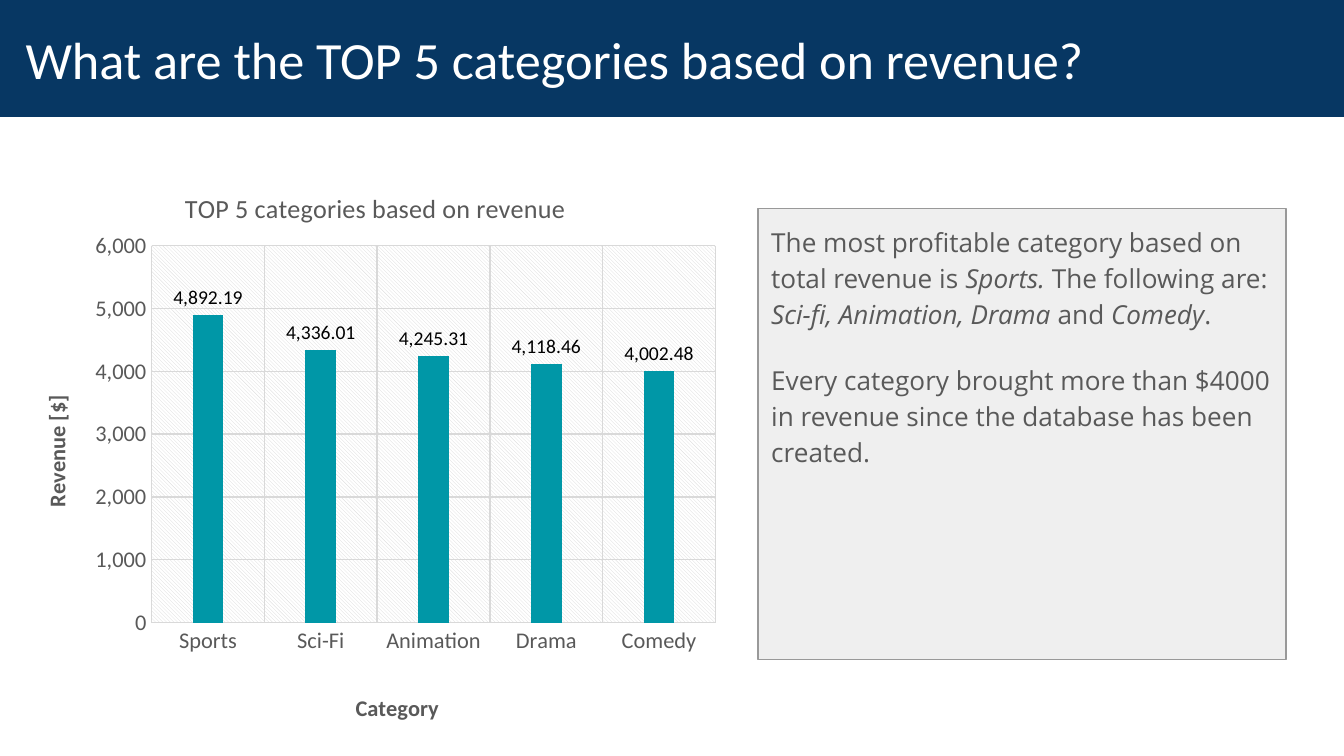
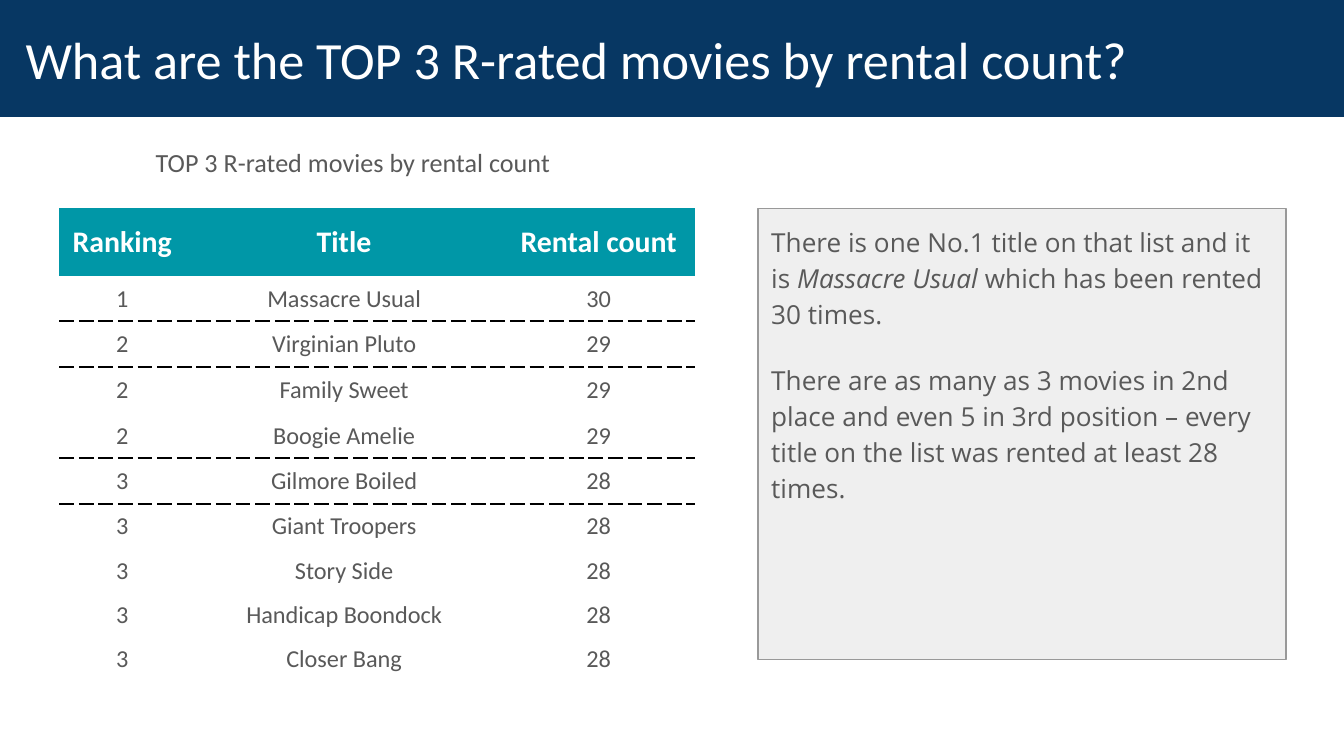
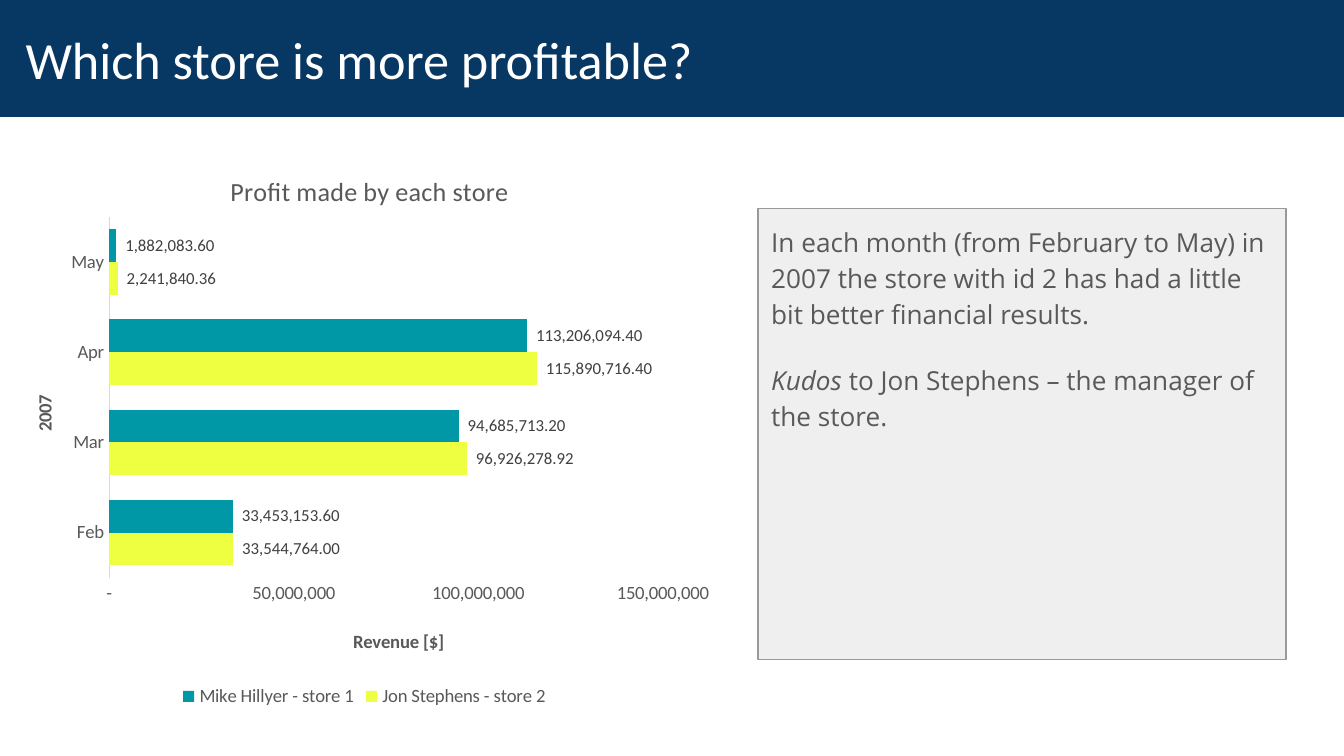
from dataclasses import dataclass

from lxml import etree
from pptx import Presentation
from pptx.chart.data import CategoryChartData
from pptx.dml.color import RGBColor
from pptx.enum.chart import XL_CHART_TYPE, XL_LABEL_POSITION, XL_LEGEND_POSITION, XL_TICK_MARK
from pptx.enum.shapes import MSO_SHAPE
from pptx.enum.text import MSO_ANCHOR, PP_ALIGN
from pptx.oxml.ns import qn
from pptx.util import Inches, Pt

COLORS = {
    "navy": "073763", "teal": "0097A7", "yellow": "EEFF41", "panel": "EFEFEF",
    "border": "999999", "text": "595959", "label": "404040", "grid": "D9D9D9",
    "black": "000000", "white": "FFFFFF",
}
SANS, BODY = "Calibri", "Open Sans"
NO_STYLE_TABLE = "{2D5ABB26-0587-4C30-8999-92F81FD0307C}"


@dataclass
class Series:
    name: str
    values: tuple
    color: str


@dataclass
class AxisStyle:
    title: str
    title_at: tuple  # fractions of the chart: left, top
    size: float
    grid: bool = False
    line: bool = False


@dataclass
class ChartStyle:
    kind: XL_CHART_TYPE
    at: tuple  # inches: left, top, width, height
    title: str
    title_at: tuple
    plot_at: tuple  # fractions: left, top, width, height
    categories: tuple
    series: tuple
    cat_axis: AxisStyle
    val_axis: AxisStyle
    maximum: float
    step: float
    axis_format: str
    label_format: str
    label_size: float
    label_color: str
    gap: int
    overlap: int = 0


def rgb(name: str) -> RGBColor:
    return RGBColor.from_string(COLORS[name])


def box(at: tuple) -> list:
    return [Inches(v) for v in at]


def style_font(font, size: float, color: str = "text", name: str = SANS,
               bold: bool = False, italic: bool = False) -> None:
    font.name, font.size, font.bold, font.italic = name, Pt(size), bold, italic
    font.color.rgb = rgb(color)


def add_text(p, text: str, align=PP_ALIGN.LEFT, **fmt) -> None:
    """Add runs to a paragraph; parts between asterisks are italic."""
    p.alignment = align
    for i, part in enumerate(text.split("*")):
        if part:
            r = p.add_run()
            r.text = part
            style_font(r.font, italic=i % 2 == 1, **fmt)


def set_margins(target, left: float, top: float, right: float, bottom: float) -> None:
    target.margin_left, target.margin_top = Inches(left), Inches(top)
    target.margin_right, target.margin_bottom = Inches(right), Inches(bottom)


# Shared slide parts: title band and comment panel
def add_slide(prs, title: str, comments: tuple):
    s = prs.slides.add_slide(prs.slide_layouts[5])
    band = s.shapes.title
    band.left, band.top, band.width, band.height = box((0, 0, 10, 0.87))
    band.fill.solid()
    band.fill.fore_color.rgb = rgb("navy")
    tf = band.text_frame
    tf.vertical_anchor = MSO_ANCHOR.MIDDLE
    set_margins(tf, 0.19, 0.1, 0.1, 0.1)
    add_text(tf.paragraphs[0], title, size=28, color="white")

    panel = s.shapes.add_shape(MSO_SHAPE.RECTANGLE, *box((5.64, 1.55, 3.93, 3.36)))
    panel.shadow.inherit = False
    panel.fill.solid()
    panel.fill.fore_color.rgb = rgb("panel")
    panel.line.color.rgb = rgb("border")
    panel.line.width = Pt(0.75)
    tf = panel.text_frame
    tf.word_wrap = True
    tf.vertical_anchor = MSO_ANCHOR.TOP
    set_margins(tf, 0.1, 0.1, 0.1, 0.1)
    for i, comment in enumerate(comments):
        p = tf.add_paragraph() if i else tf.paragraphs[0]
        p.line_spacing, p.space_after = 1.15, Pt(16)
        add_text(p, comment, size=14, name=BODY)
    return s


# Charts
def place(element, at: tuple, inner: bool = False) -> None:
    """Give a chart title or plot area a manual layout."""
    for old in element.findall(qn("c:layout")):
        element.remove(old)
    layout = etree.Element(qn("c:layout"))
    element.insert(0 if element.find(qn("c:tx")) is None else 1, layout)
    manual = etree.SubElement(layout, qn("c:manualLayout"))
    if inner:
        etree.SubElement(manual, qn("c:layoutTarget")).set("val", "inner")
    for tag in ("xMode", "yMode"):
        etree.SubElement(manual, qn(f"c:{tag}")).set("val", "edge")
    for tag, value in zip("xywh", at):
        etree.SubElement(manual, qn(f"c:{tag}")).set("val", str(value))


def hatch(plot_area) -> None:
    props = etree.SubElement(plot_area, qn("c:spPr"))
    pattern = etree.SubElement(props, qn("a:pattFill"), prst="ltDnDiag")
    for tag, color in (("fgClr", "grid"), ("bgClr", "white")):
        side = etree.SubElement(pattern, qn(f"a:{tag}"))
        etree.SubElement(side, qn("a:srgbClr"), val=COLORS[color])


def style_axis(axis, style: AxisStyle) -> None:
    axis.major_tick_mark = axis.minor_tick_mark = XL_TICK_MARK.NONE
    style_font(axis.tick_labels.font, style.size)
    axis.has_major_gridlines = style.grid
    lines = [axis.major_gridlines.format.line] if style.grid else []
    if style.line:
        lines.append(axis.format.line)
    else:
        axis.format.line.fill.background()
    for line in lines:
        line.color.rgb = rgb("grid")
        line.width = Pt(0.75)
    title = axis.axis_title
    add_text(title.text_frame.paragraphs[0], style.title, size=style.size, bold=True)
    place(title._element, style.title_at)


def add_chart(s, style: ChartStyle):
    data = CategoryChartData()
    data.categories = style.categories
    for series in style.series:
        data.add_series(series.name, series.values)
    chart = s.shapes.add_chart(style.kind, *box(style.at), data).chart
    style_font(chart.font, 10, "black")
    chart.has_legend = False

    title = chart.chart_title
    add_text(title.text_frame.paragraphs[0], style.title, size=14)
    place(title._element, style.title_at)
    style_axis(chart.category_axis, style.cat_axis)
    style_axis(chart.value_axis, style.val_axis)
    axis = chart.value_axis
    axis.minimum_scale, axis.maximum_scale = 0, style.maximum
    axis.major_unit = style.step
    axis.tick_labels.number_format = style.axis_format
    axis.tick_labels.number_format_is_linked = False

    plot = chart.plots[0]
    plot.gap_width, plot.overlap = style.gap, style.overlap
    plot.vary_by_categories = False
    for series, item in zip(plot.series, style.series):
        series.format.fill.solid()
        series.format.fill.fore_color.rgb = rgb(item.color)
        labels = series.data_labels
        labels.show_value = True
        labels.position = XL_LABEL_POSITION.OUTSIDE_END
        labels.number_format = style.label_format
        labels.number_format_is_linked = False
        style_font(labels.font, style.label_size, style.label_color)
    place(chart._chartSpace.chart.plotArea, style.plot_at, inner=True)
    return chart


# Table
def dash_edge(cell, edge: str) -> None:
    line = etree.Element(qn(f"a:{edge}"), w=str(Pt(1)))
    fill = etree.SubElement(line, qn("a:solidFill"))
    etree.SubElement(fill, qn("a:srgbClr"), val=COLORS["black"])
    etree.SubElement(line, qn("a:prstDash"), val="lgDash")
    cell._tc.get_or_add_tcPr().insert(0, line)


def add_ranking(s, header: tuple, rows: tuple) -> None:
    widths = (0.94, 2.36, 1.43)
    heights = [0.5] + [0.34] * 5 + [0.33] * 4
    frame = s.shapes.add_table(len(rows) + 1, len(header),
                               *box((0.44, 1.55, sum(widths), sum(heights))))
    table = frame.table
    table.first_row = table.horz_banding = False
    table._tbl.tblPr.find(qn("a:tableStyleId")).text = NO_STYLE_TABLE
    for column, width in zip(table.columns, widths):
        column.width = Inches(width)
    for row, height in zip(table.rows, heights):
        row.height = Inches(height)

    lines = (header, *rows)
    for i, values in enumerate(lines):
        # A dashed line parts one rank from the next
        ends_rank = 0 < i < len(rows) and values[0] != lines[i + 1][0]
        starts_rank = i > 1 and values[0] != lines[i - 1][0]
        for j, value in enumerate(values):
            cell = table.cell(i, j)
            cell.vertical_anchor = MSO_ANCHOR.MIDDLE
            set_margins(cell, 0.01, 0.01, 0.01, 0)
            fmt = dict(size=13)
            if i == 0:
                cell.fill.solid()
                cell.fill.fore_color.rgb = rgb("teal")
                fmt = dict(size=16, color="white", bold=True)
            else:
                cell.fill.background()
            add_text(cell.text_frame.paragraphs[0], str(value), PP_ALIGN.CENTER, **fmt)
            if ends_rank:
                dash_edge(cell, "lnB")
            if starts_rank:
                dash_edge(cell, "lnT")


prs = Presentation()
prs.slide_width, prs.slide_height = Inches(10), Inches(5.625)

# Slide 1: categories by revenue
s = add_slide(prs, "What are the TOP 5 categories based on revenue?", (
    "The most profitable category based on total revenue is *Sports. *The following are: "
    "*Sci-fi, Animation, Drama *and *Comedy*.",
    "Every category brought more than $4000 in revenue since the database has been created.",
))
chart = add_chart(s, ChartStyle(
    kind=XL_CHART_TYPE.COLUMN_CLUSTERED, at=(0.12, 1.17, 5.31, 4.25),
    title="TOP 5 categories based on revenue", title_at=(0.23, 0.05),
    plot_at=(0.19, 0.155, 0.79, 0.66),
    categories=("Sports", "Sci-Fi", "Animation", "Drama", "Comedy"),
    series=(Series("Series 1", (4892.19, 4336.01, 4245.31, 4118.46, 4002.48), "teal"),),
    cat_axis=AxisStyle("Category", (0.47, 0.93), 12, grid=True, line=True),
    val_axis=AxisStyle("Revenue [$]", (0.03, 0.41), 12, grid=True),
    maximum=6000, step=1000, axis_format="#,##0", label_format="#,##0.00",
    label_size=10.5, label_color="black", gap=267, overlap=-43,
))
hatch(chart._chartSpace.chart.plotArea)

# Slide 2: R-rated movies by rental count
s = add_slide(prs, "What are the TOP 3 R-rated movies by rental count?", (
    "There is one No.1 title on that list and it is *Massacre Usual *which has been "
    "rented 30 times.",
    "There are as many as 3 movies in 2nd place and even 5 in 3rd position – every title "
    "on the list was rented at least 28 times.",
))
add_ranking(s, ("Ranking", "Title", "Rental count"), (
    (1, "Massacre Usual", 30),
    (2, "Virginian Pluto", 29),
    (2, "Family Sweet", 29),
    (2, "Boogie Amelie", 29),
    (3, "Gilmore Boiled", 28),
    (3, "Giant Troopers", 28),
    (3, "Story Side", 28),
    (3, "Handicap Boondock", 28),
    (3, "Closer Bang", 28),
))
caption = s.shapes.add_textbox(*box((1.06, 1.04, 3.29, 0.34)))
add_text(caption.text_frame.paragraphs[0], "TOP 3 R-rated movies by rental count", size=14)

# Slide 3: profit by store
s = add_slide(prs, "Which store is more profitable?", (
    "In each month (from February to May) in 2007 the store with id 2 has had a little "
    "bit better financial results.",
    "*Kudos* to Jon Stephens – the manager of the store.",
))
chart = add_chart(s, ChartStyle(
    kind=XL_CHART_TYPE.BAR_CLUSTERED, at=(0, 1.04, 5.42, 4.26),
    title="Profit made by each store", title_at=(0.31, 0.05),
    plot_at=(0.15, 0.135, 0.76, 0.63),
    categories=("Feb", "Mar", "Apr", "May"),
    series=(
        Series("Jon Stephens - store 2",
               (33544764, 96926278.92, 115890716.4, 2241840.36), "yellow"),
        Series("Mike Hillyer - store 1",
               (33453153.6, 94685713.2, 113206094.4, 1882083.6), "teal"),
    ),
    cat_axis=AxisStyle("2007", (0.04, 0.44), 10, line=True),
    val_axis=AxisStyle("Revenue [$]", (0.48, 0.85), 10),
    maximum=150_000_000, step=50_000_000,
    axis_format='_(* #,##0_);_(* \\(#,##0\\);_(* "-"_);_(@_)',
    label_format='_(* #,##0.00_);_(* \\(#,##0.00\\);_(* "-"??_);_(@_)',
    label_size=9, label_color="label", gap=75,
))
chart.has_legend = True
chart.legend.position = XL_LEGEND_POSITION.BOTTOM
chart.legend.include_in_layout = False
style_font(chart.legend.font, 10)

prs.save("out.pptx")
